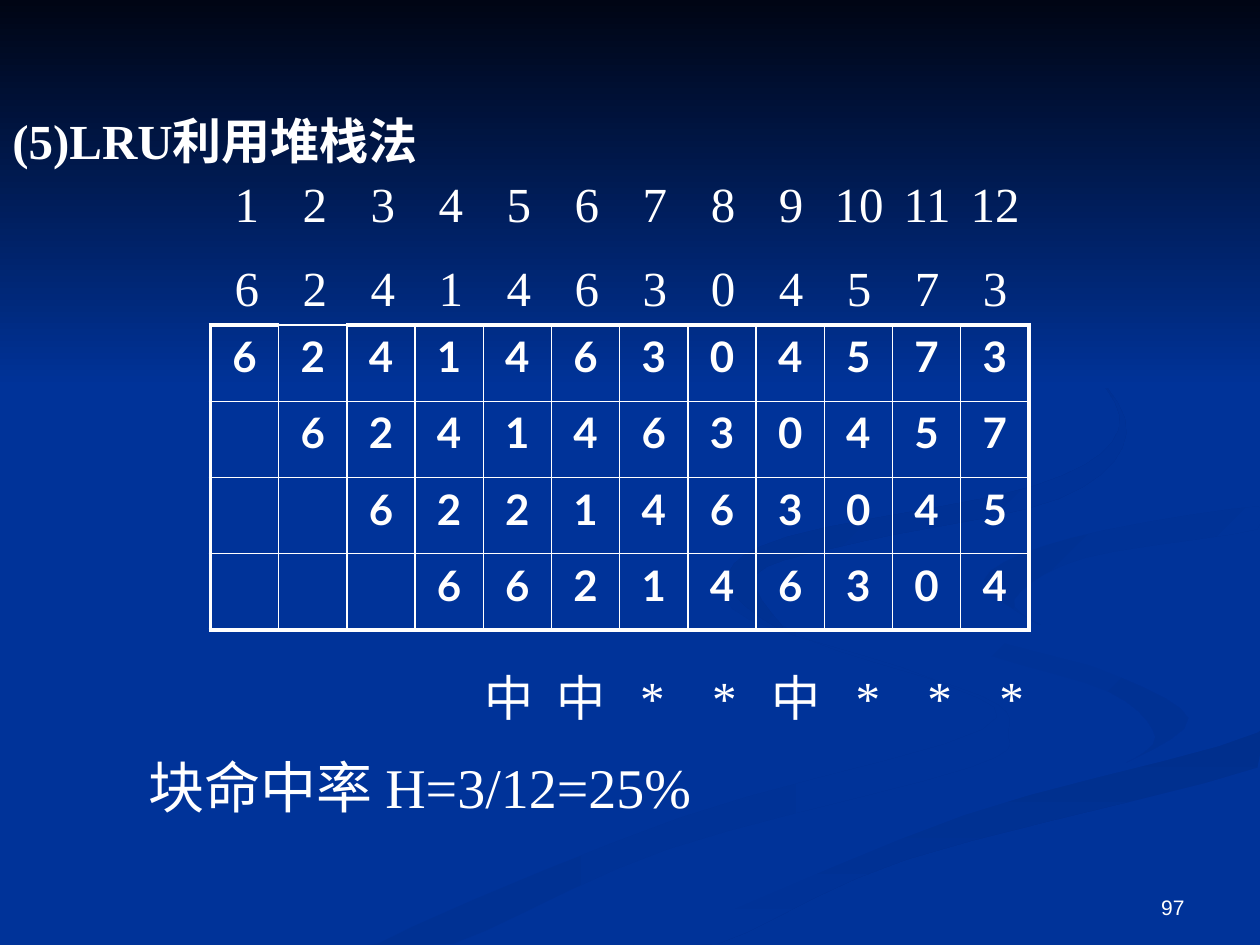
import pptx
import pptx.util
import pptx.dml.color
import pptx.enum.shapes
import pptx.enum.text
import pptx.oxml
import pptx.oxml.ns
from pptx.util import Inches, Pt

WHITE = pptx.dml.color.RGBColor(0xFF, 0xFF, 0xFF)
BLUE = pptx.dml.color.RGBColor(0x00, 0x33, 0x99)
NIGHT = pptx.dml.color.RGBColor(0x00, 0x05, 0x14)
SHADE = pptx.dml.color.RGBColor(0x00, 0x31, 0x93)
DEEP_SHADE = pptx.dml.color.RGBColor(0x00, 0x2F, 0x8D)

presentation = pptx.Presentation()
presentation.slide_width = Inches(10)
presentation.slide_height = Inches(7.5)
slide = presentation.slides.add_slide(presentation.slide_layouts[6])
slide.background.fill.solid()
slide.background.fill.fore_color.rgb = BLUE


def paint(shape, first, last, angle):
    """Fill with a two-colour gradient (clockwise angle), without line or shadow."""
    shape.shadow.inherit = False
    shape.line.fill.background()
    shape.fill.gradient()
    shape.fill.gradient_angle = (360 - angle) % 360
    for stop, color, position in zip(shape.fill.gradient_stops, (first, last), (0, 1)):
        stop.color.rgb = color
        stop.position = position


def add_text(left, top, width, height, lines, size, tabs=(), bold=False, font="Times New Roman"):
    """Add a white text box; tabs are centred stops in inches."""
    box = slide.shapes.add_textbox(Inches(left), Inches(top), Inches(width), Inches(height))
    frame = box.text_frame
    frame.word_wrap = True
    for index, line in enumerate(lines):
        paragraph = frame.paragraphs[0] if index == 0 else frame.add_paragraph()
        paragraph.text = line
        if index:
            paragraph.space_before = Pt(size / 2)
        if tabs:
            tab_list = pptx.oxml.parse_xml(f"<a:tabLst {pptx.oxml.ns.nsdecls('a')}/>")
            for tab in tabs:
                stop = tab_list.makeelement(pptx.oxml.ns.qn("a:tab"), {"pos": str(Inches(tab)), "algn": "ctr"})
                tab_list.append(stop)
            paragraph._p.get_or_add_pPr().append(tab_list)
        paragraph.font.size = Pt(size)
        paragraph.font.name = font
        paragraph.font.bold = bold
        paragraph.font.color.rgb = WHITE
    return frame


# Background ribbons: key points in inches, joined by smooth closed curves
ribbons = [
    (SHADE, BLUE, 0, [
        (7.8, 5.53), (6.4, 5.07), (5.75, 4.6), (5.95, 4.92), (7.4, 5.39), (7.8, 5.79),
        (5.4, 6.49), (3, 7.49), (3.6, 7.49), (5.3, 6.74), (7.7, 6.09), (8, 5.81)]),
    (BLUE, SHADE, 45, [
        (9.43, 5.7), (8.7, 5.3), (7.6, 4.98), (7.24, 4.64), (7.66, 5.12), (8.8, 5.49),
        (9.17, 5.85), (8.94, 6.05)]),
    (DEEP_SHADE, BLUE, 90, [
        (5.03, 7.49), (5.7, 7.49), (7.2, 6.82), (9.98, 6.09), (9.98, 5.81), (7.8, 6.42),
        (6.3, 6.93)]),
    (BLUE, BLUE, 0, [
        (7.25, 4.64), (7.75, 5.03), (9.2, 5.47), (9.2, 5.97), (6.6, 6.68), (4.77, 7.49),
        (5.2, 7.47), (7.65, 6.47), (9.99, 5.81), (9.99, 5.38), (8.3, 4.98), (7.81, 4.63),
        (8.5, 4.27), (9.99, 4.02), (9.99, 3.87), (8.1, 4.17)]),
    (SHADE, BLUE, 45, [
        (7.81, 4.6), (8.26, 4.96), (8.05, 4.76), (8.6, 4.43), (9.98, 4.2), (9.98, 4.02),
        (8.5, 4.27)]),
    (DEEP_SHADE, BLUE, 45, [
        (6.83, 4.3), (8.4, 3.96), (8.94, 3.44), (8.54, 2.83), (7.62, 2.33), (8.55, 2.85),
        (8.88, 3.41), (8.2, 3.86), (6.25, 4.26), (5.77, 4.62), (6.22, 5), (6, 4.56)]),
]
STEPS = 5
for first, last, angle, knots in ribbons:
    curve = []
    for index, knot in enumerate(knots):
        before, after, beyond = (knots[(index + offset) % len(knots)] for offset in (-1, 1, 2))
        for step in range(STEPS):
            t = step / STEPS
            x, y = (b + t / 2 * (c - a + t * (2 * a - 5 * b + 4 * c - d + t * (3 * (b - c) + d - a)))
                    for a, b, c, d in zip(before, knot, after, beyond))
            curve.append((Inches(min(x, 10)), Inches(min(y, 7.5))))
    builder = slide.shapes.build_freeform(*curve[0])
    builder.add_line_segments(curve[1:], close=True)
    paint(builder.convert_to_shape(), first, last, angle)

sky = slide.shapes.add_shape(pptx.enum.shapes.MSO_SHAPE.RECTANGLE, 0, 0, Inches(10), Inches(3.08))
paint(sky, NIGHT, BLUE, 90)

# LRU stack: one column per access, most recent page on top
accesses = [int(page) for page in "624146304573"]
DEPTH = 4
stacks = []
stack = []
for page in accesses:
    stack = [page] + [other for other in stack if other != page]
    stacks.append(stack[:DEPTH])

COLUMNS = len(accesses)
table_shape = slide.shapes.add_table(DEPTH, COLUMNS, Inches(1.67), Inches(2.58), Inches(6.5), Inches(2.42))
table = table_shape.table
table.first_row = False
table.horz_banding = False
for column, stack in enumerate(stacks):
    for row in range(DEPTH):
        cell = table.cell(row, column)
        cell.fill.background()
        paragraph = cell.text_frame.paragraphs[0]
        paragraph.text = str(stack[row]) if row < len(stack) else ""
        paragraph.alignment = pptx.enum.text.PP_ALIGN.CENTER
        paragraph.font.size = Pt(24)
        paragraph.font.name = "Lato"
        paragraph.font.bold = True
        paragraph.font.color.rgb = WHITE
        thick_sides = {
            "lnL": column == 0,
            "lnR": column == COLUMNS - 1,
            "lnT": row == 0 and column != 1,
            "lnB": row == DEPTH - 1,
        }
        properties = cell._tc.get_or_add_tcPr()
        for index, (side, thick) in enumerate(thick_sides.items()):
            border = pptx.oxml.parse_xml(
                f'<a:{side} {pptx.oxml.ns.nsdecls("a")} w="{Pt(2.25 if thick else 1)}">'
                f'<a:solidFill><a:srgbClr val="{WHITE}"/></a:solidFill></a:{side}>')
            properties.insert(index, border)

# Text
access_tabs = [0.19 + 0.54 * column for column in range(COLUMNS)]
header_lines = ["".join(f"\t{number}" for number in numbers)
                for numbers in (range(1, COLUMNS + 1), accesses)]
add_text(1.67, 1.33, 6.67, 1.27, header_lines, 28, access_tabs)

hits = "中中**中***"
hit_tabs = [0.69 + 0.57 * column for column in range(len(hits))]
add_text(3.25, 5.25, 5.33, 0.57, ["".join(f"\t{hit}" for hit in hits)], 28, hit_tabs)

add_text(0, 0.83, 3.67, 0.57, ["(5)LRU利用堆栈法"], 28, bold=True)
add_text(1.08, 5.92, 7.42, 0.63, ["块命中率 H=3/12=25%"], 32)

page_number = add_text(7.17, 6.83, 2.33, 0.52, ["97"], 12, font="Arial")
page_number.vertical_anchor = pptx.enum.text.MSO_ANCHOR.BOTTOM
page_number.paragraphs[0].alignment = pptx.enum.text.PP_ALIGN.RIGHT

presentation.save("out.pptx")
